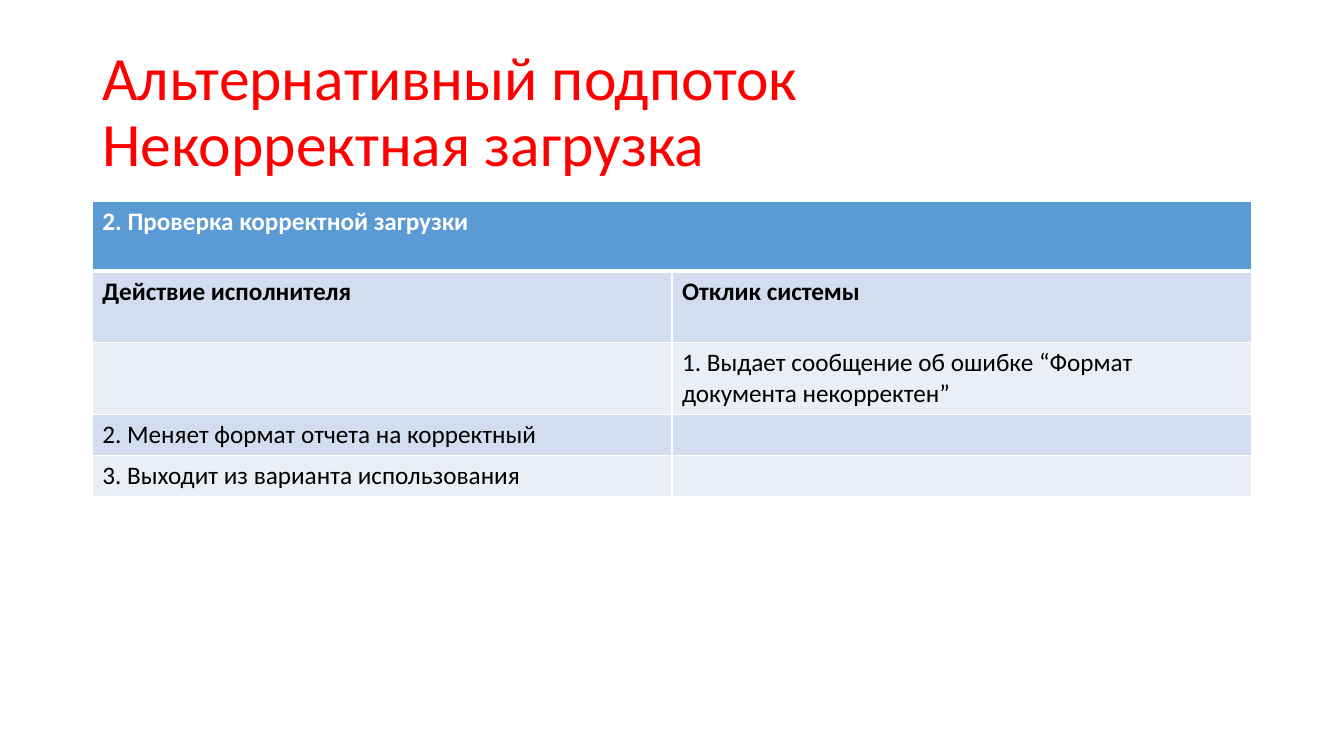
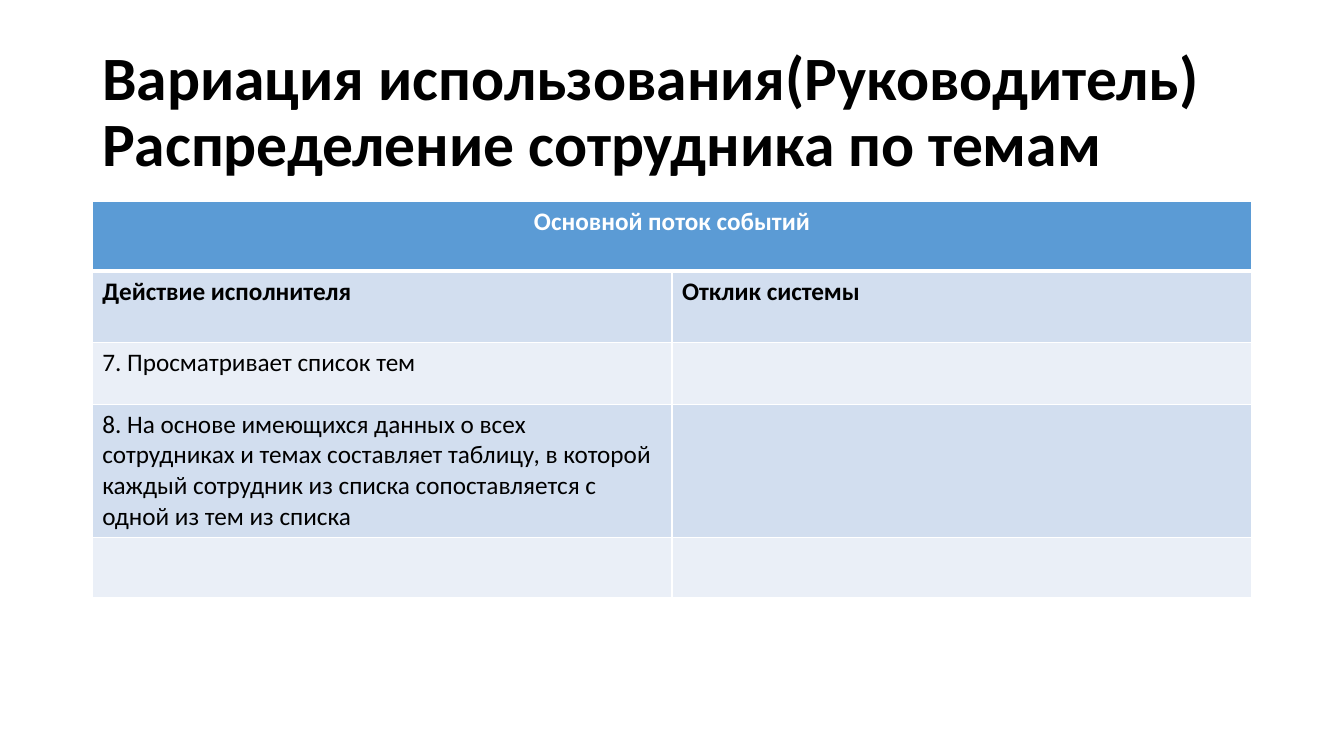
from lxml import etree
from pptx import Presentation
from pptx import util as u
from pptx.dml.color import RGBColor
from pptx.enum import text
from pptx.oxml.ns import qn

COLORS = {"alert": "FF0000", "ink": "000000", "paper": "FFFFFF",
          "header": "5B9BD5", "odd": "D2DEEF", "even": "EAEFF7"}
FONT = "Calibri"
COLUMN, ROW = 5.75, 0.1
HEADINGS = ("Действие исполнителя", "Отклик системы")


class Deck:
    """Slides on a centred two-column grid with rows of a tenth of an inch."""

    def __init__(self):
        self.prs = Presentation()
        self.prs.slide_width, self.prs.slide_height = u.Inches(13.33), u.Inches(7.5)
        self.left = (self.prs.slide_width - u.Inches(2 * COLUMN)) // 2
        self.slide = None

    def add_slide(self):
        self.slide = self.prs.slides.add_slide(self.prs.slide_layouts[6])

    def area(self, top, rows):
        return self.left, u.Inches(top * ROW), u.Inches(2 * COLUMN), u.Inches(rows * ROW)

    def style(self, paragraph, size, color, bold):
        for run in paragraph.runs:
            run.font.name, run.font.size, run.font.bold = FONT, u.Pt(size), bold
            run.font.color.rgb = RGBColor.from_string(COLORS[color])

    def title(self, lines, color="ink", bold=False):
        frame = self.slide.shapes.add_textbox(*self.area(4, 14.5)).text_frame
        frame.word_wrap = True
        frame.vertical_anchor = text.MSO_ANCHOR.MIDDLE
        frame.text = "\v".join(lines)
        heading = frame.paragraphs[0]
        heading.line_spacing = 0.9
        self.style(heading, 44, color, bold)

    def borders(self, cell, row):
        widths = {"L": 1, "R": 1, "T": 3 if row == 1 else 1, "B": 3 if row == 0 else 1}
        for side, width in widths.items():
            line = etree.SubElement(cell._tc.get_or_add_tcPr(), qn(f"a:ln{side}"),
                                    w=str(u.Pt(width)))
            fill = etree.SubElement(line, qn("a:solidFill"))
            etree.SubElement(fill, qn("a:srgbClr"), val=COLORS["paper"])

    def cell(self, cell, row, words):
        self.borders(cell, row)
        band = "header" if row == 0 else "odd" if row % 2 else "even"
        cell.fill.solid()
        cell.fill.fore_color.rgb = RGBColor.from_string(COLORS[band])
        if words:
            cell.text_frame.text = words
            self.style(cell.text_frame.paragraphs[0], 18,
                       "paper" if row == 0 else "ink", row < 2)

    def flow(self, caption, steps, heights, align=text.PP_ALIGN.LEFT):
        content = [(caption, ""), HEADINGS, *steps]
        table = self.slide.shapes.add_table(
            len(content), 2, *self.area(20, sum(heights))).table
        for column in table.columns:
            column.width = u.Inches(COLUMN)
        for row, (pair, height) in enumerate(zip(content, heights)):
            table.rows[row].height = u.Inches(height * ROW)
            for column, words in enumerate(pair):
                self.cell(table.cell(row, column), row, words)
        header = table.cell(0, 0)
        header.merge(table.cell(0, 1))
        header.text_frame.paragraphs[0].alignment = align


def main():
    deck = Deck()

    deck.add_slide()
    deck.title(["Альтернативный подпоток", "Некорректная загрузка"], color="alert")
    deck.flow("2. Проверка корректной загрузки", [
        ("", "1. Выдает сообщение об ошибке “Формат документа некорректен”"),
        ("2. Меняет формат отчета на корректный", ""),
        ("3. Выходит из варианта использования", ""),
    ], [6.9, 7.1, 7.1, 4.1, 4.1])

    deck.add_slide()
    deck.title(["Вариация использования(Руководитель)",
                "Распределение сотрудника по темам"], bold=True)
    deck.flow("Основной поток событий", [
        ("7. Просматривает список тем", ""),
        ("8. На основе имеющихся данных о всех сотрудниках и темах составляет таблицу, "
         "в которой каждый сотрудник из списка сопоставляется с одной из тем из списка", ""),
        ("", ""),
    ], [6.9, 7.1, 6.1, 13.2, 6], align=text.PP_ALIGN.CENTER)

    deck.prs.save("out.pptx")


if __name__ == "__main__":
    main()
